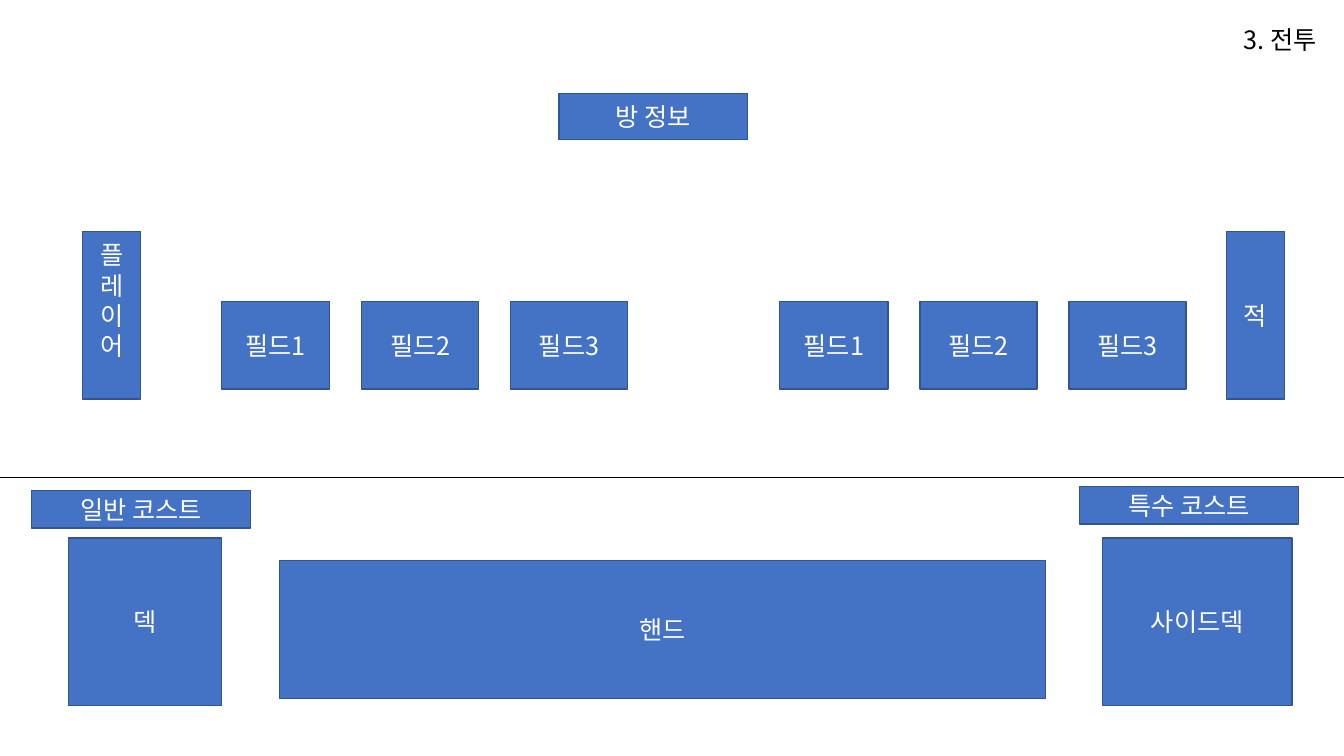
from lxml.etree import SubElement
from pptx import Presentation
from pptx.dml.color import RGBColor
from pptx.enum.shapes import MSO_CONNECTOR, MSO_SHAPE
from pptx.enum.text import MSO_ANCHOR, MSO_AUTO_SIZE, PP_ALIGN
from pptx.oxml.ns import qn
from pptx.util import Pt

COLORS = {"box": "4472C4", "border": "325491", "light": "FFFFFF", "dark": "000000"}
FONT = {"name": "Noto Sans CJK KR", "size": Pt(18), "bold": False}


def format_text(text_frame, text, color, alignment):
    text_frame.text = text
    for paragraph in text_frame.paragraphs:
        paragraph.alignment = alignment
        for run in paragraph.runs:
            for attribute, value in FONT.items():
                setattr(run.font, attribute, value)
            run.font.color.rgb = RGBColor.from_string(COLORS[color])
            # Korean letters take the East Asian typeface
            SubElement(run.font._element, qn("a:ea"), typeface=FONT["name"])


def add_box(text, left, top, width, height):
    shape = slide.shapes.add_shape(
        MSO_SHAPE.RECTANGLE, Pt(left), Pt(top), Pt(width), Pt(height))
    shape.shadow.inherit = False
    shape.fill.solid()
    shape.fill.fore_color.rgb = RGBColor.from_string(COLORS["box"])
    shape.line.color.rgb = RGBColor.from_string(COLORS["border"])
    shape.line.width = Pt(1)
    shape.text_frame.vertical_anchor = MSO_ANCHOR.MIDDLE
    format_text(shape.text_frame, text, "light", PP_ALIGN.CENTER)
    return shape


presentation = Presentation()
presentation.slide_width, presentation.slide_height = Pt(960), Pt(540)
slide = presentation.slides.add_slide(presentation.slide_layouts.get_by_name("Title Only"))

# Title in the top right corner
title = slide.shapes.title
title_place = {"left": Pt(881.3), "top": Pt(13.7), "width": Pt(71.3), "height": Pt(28.8)}
for attribute, value in title_place.items():
    setattr(title, attribute, value)
title_frame = {"word_wrap": False, "auto_size": MSO_AUTO_SIZE.SHAPE_TO_FIT_TEXT,
               "vertical_anchor": MSO_ANCHOR.TOP}
for attribute, value in title_frame.items():
    setattr(title.text_frame, attribute, value)
format_text(title.text_frame, "3. 전투", "dark", PP_ALIGN.LEFT)

# Battlefield: the two fighters, each with three fields
player = add_box("플\n레\n이\n어", 59, 165.4, 41.4, 119.8)
player.text_frame.margin_bottom = Pt(25.2)
add_box("적", 876, 165.4, 41.4, 119.8)
for side_left in (158.2, 557):
    for number, (offset, width) in enumerate([(0, 77.3), (100.2, 83.5), (206.6, 83.5)], 1):
        add_box(f"필드{number}", side_left + offset, 215.3, width, 62.6)

# Room information, card piles and costs
for box in [
    ("방 정보", 399.3, 66.8, 134.6, 32.8),
    ("덱", 48.8, 384.3, 109.4, 119.8),
    ("핸드", 199.5, 400.3, 547.2, 98.6),
    ("사이드덱", 787.5, 384.3, 135.4, 119.8),
    ("일반 코스트", 22.3, 350.5, 156.5, 26.8),
    ("특수 코스트", 771, 347.7, 156.5, 26.6),
]:
    add_box(*box)

# Line between battlefield and cards
divider = slide.shapes.add_connector(
    MSO_CONNECTOR.STRAIGHT, Pt(0), Pt(340.7), Pt(960), Pt(340.7))
divider.line.color.rgb = RGBColor.from_string(COLORS["dark"])
divider.line.width = Pt(0.5)
SubElement(divider._element.spPr, qn("a:effectLst"))

presentation.save("out.pptx")
